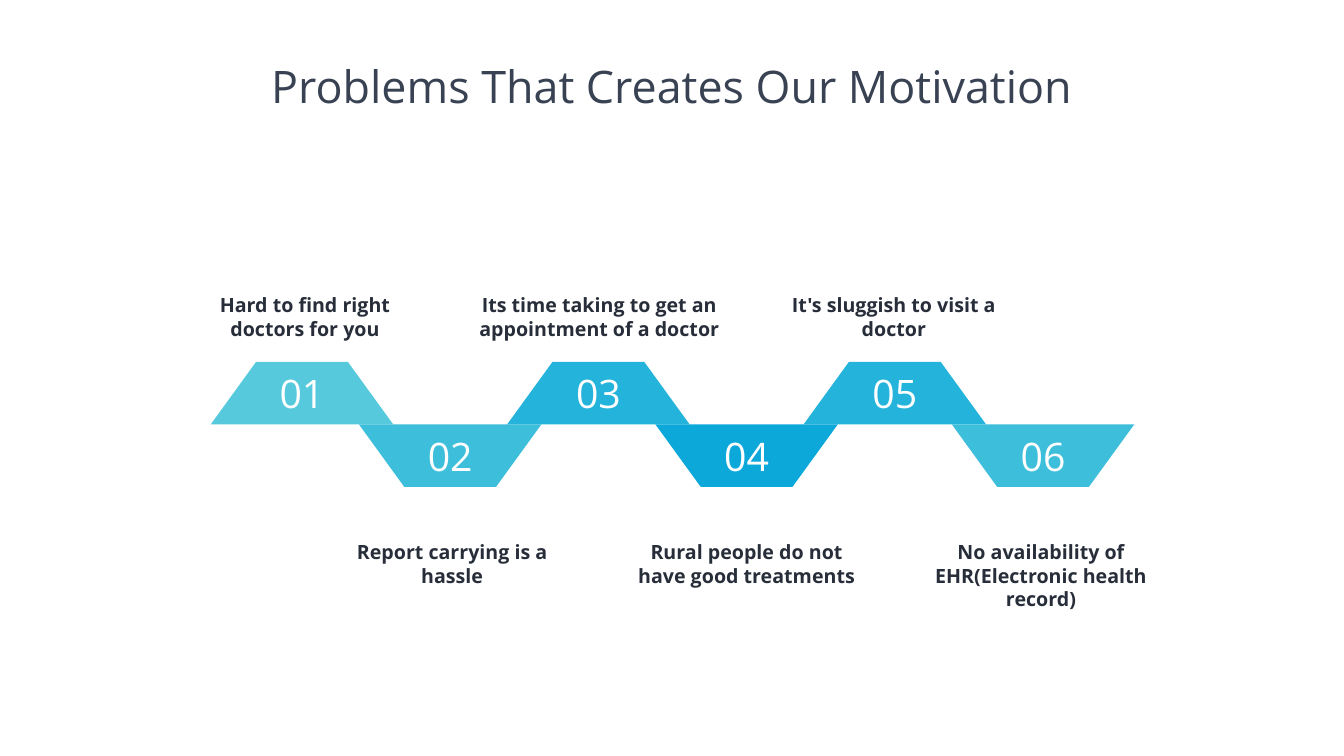
"""Build a slide with a zigzag band of six numbered problems."""
from dataclasses import dataclass

from pptx import Presentation
from pptx.dml.color import RGBColor
from pptx.enum.text import MSO_ANCHOR, PP_ALIGN
from pptx.slide import Slide
from pptx.text.text import TextFrame
from pptx.util import Inches, Pt

CENTER = PP_ALIGN.CENTER
MIDDLE = MSO_ANCHOR.MIDDLE

FONT = "Open Sans"
COLORS = {
    "title": "384253",
    "label": "272E3A",
    "number": "FFFFFF",
    "aqua": "56CADC",
    "teal": "3DBEDB",
    "sky": "24B3DA",
    "blue": "0CA8DA",
}

BAND_LEFT, BAND_STEP = 2.09, 1.47
BAND_MIDDLE, BAND_ROW = 4.21, 0.62
STEP_WIDTH, SLANT = 1.81, 0.45
LABEL_LEFT, LABEL_STEP, LABEL_WIDTH = 1.55, 1.46, 2.95
LABEL_TOP_ROW, LABEL_BOTTOM_ROW = 2.86, 5.31
LINE_HEIGHT, LABEL_PADDING = 0.23, 0.12


@dataclass(frozen=True)
class Problem:
    text: str
    color: str
    lines: int = 2


PROBLEMS = [
    Problem("Hard to find right doctors for you", "aqua"),
    Problem("Report carrying is a hassle", "teal"),
    Problem("Its time taking to get an appointment of a doctor", "sky"),
    Problem("Rural people do not have good treatments", "blue"),
    Problem("It's sluggish to visit a doctor", "sky"),
    Problem("No availability of EHR(Electronic health record)", "teal", 3),
]


def rgb(name: str) -> RGBColor:
    return RGBColor.from_string(COLORS[name])


def write(tf: TextFrame, text: str, size: int, color: str, bold: bool = False) -> None:
    tf.word_wrap = True
    p = tf.paragraphs[0]
    p.text = text
    p.alignment = CENTER
    p.font.name = FONT
    p.font.size = Pt(size)
    p.font.bold = bold
    p.font.color.rgb = rgb(color)


def add_title(s: Slide, text: str) -> None:
    tf = s.shapes.add_textbox(Inches(1), Inches(0.59), Inches(11.33), Inches(0.89)).text_frame
    write(tf, text, 32, "title")
    tf.paragraphs[0].line_spacing = 0.9


def add_step(s: Slide, index: int, problem: Problem) -> None:
    left = BAND_LEFT + index * BAND_STEP
    right = left + STEP_WIDTH
    edge = BAND_MIDDLE + (BAND_ROW if index % 2 else -BAND_ROW)
    corners = [(left + SLANT, edge), (right - SLANT, edge), (right, BAND_MIDDLE)]
    outline = s.shapes.build_freeform(Inches(left), Inches(BAND_MIDDLE))
    outline.add_line_segments([(Inches(x), Inches(y)) for x, y in corners])
    sp = outline.convert_to_shape()
    sp.shadow.inherit = False
    sp.fill.solid()
    sp.fill.fore_color.rgb = rgb(problem.color)
    sp.line.fill.background()
    tf = sp.text_frame
    tf.margin_top = tf.margin_bottom = 0
    tf.vertical_anchor = MIDDLE
    write(tf, f"{index + 1:02}", 28, "number")


def add_label(s: Slide, index: int, problem: Problem) -> None:
    left = LABEL_LEFT + index * LABEL_STEP
    top = LABEL_BOTTOM_ROW if index % 2 else LABEL_TOP_ROW
    height = problem.lines * LINE_HEIGHT + LABEL_PADDING
    tf = s.shapes.add_textbox(
        Inches(left), Inches(top), Inches(LABEL_WIDTH), Inches(height)
    ).text_frame
    tf.margin_left = tf.margin_right = Inches(0.27)
    tf.margin_top, tf.margin_bottom = Inches(0.05), Inches(0.07)
    write(tf, problem.text, 14, "label", bold=True)


def main() -> None:
    prs = Presentation()
    prs.slide_width, prs.slide_height = Inches(13.33), Inches(7.5)
    s = prs.slides.add_slide(prs.slide_layouts[6])
    add_title(s, "Problems That Creates Our Motivation")
    for index, problem in enumerate(PROBLEMS):
        add_step(s, index, problem)
        add_label(s, index, problem)
    prs.save("out.pptx")


if __name__ == "__main__":
    main()
